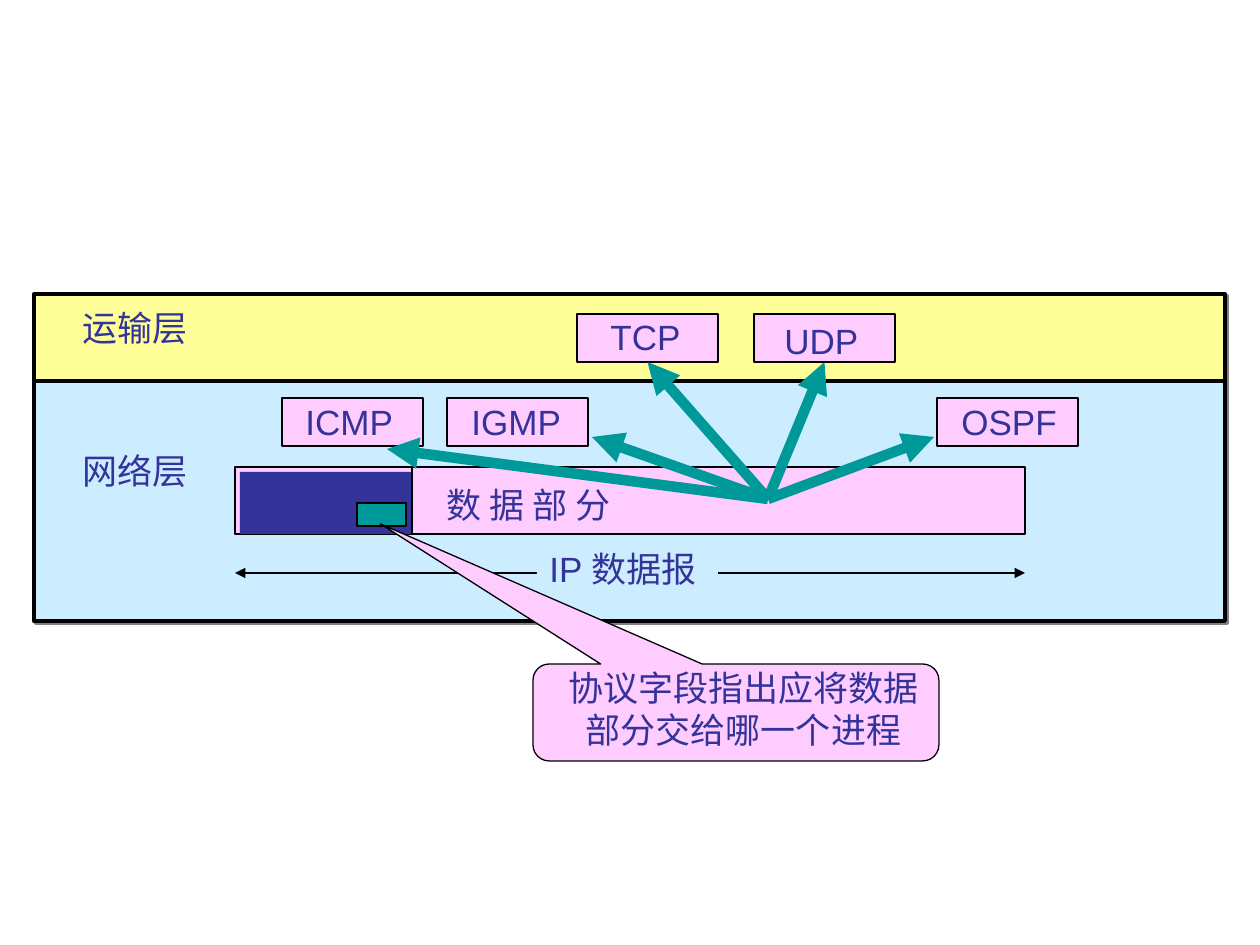
from lxml import etree
from pptx import Presentation
from pptx.dml.color import RGBColor
from pptx.enum.shapes import MSO_CONNECTOR, MSO_SHAPE
from pptx.enum.text import MSO_AUTO_SIZE, PP_ALIGN
from pptx.oxml.ns import qn
from pptx.util import Pt

PX = 914400 / 126
RECT = MSO_SHAPE.RECTANGLE
CALLOUT = MSO_SHAPE.ROUNDED_RECTANGULAR_CALLOUT
STRAIGHT = MSO_CONNECTOR.STRAIGHT
LEFT, CENTER = PP_ALIGN.LEFT, PP_ALIGN.CENTER
GROW = MSO_AUTO_SIZE.SHAPE_TO_FIT_TEXT
BOTTOM = 2
COLORS = {
    "transport": "FFFF99",
    "network": "CCECFF",
    "data": "FFCCFF",
    "navy": "333399",
    "teal": "009999",
    "black": "000000",
    "shadow": "808080",
}


def emu(*lengths):
    return [round(length * PX) for length in lengths]


def rgb(name):
    return RGBColor.from_string(COLORS[name])


def write(frame, text, size=20, color="navy", align=LEFT, wrap=False):
    frame.word_wrap = wrap
    frame.auto_size = GROW
    for index, line in enumerate(text.split("\n")):
        paragraph = frame.add_paragraph() if index else frame.paragraphs[0]
        paragraph.alignment = align
        run = paragraph.add_run()
        run.text = line
        run.font.name = "Arial"
        run.font.size = Pt(size)
        run.font.color.rgb = rgb(color)


class Diagram:
    def __init__(self, slide):
        self.shapes = slide.shapes

    def block(self, box, fill, border=0.75, kind=RECT, shadow=False):
        block = self.shapes.add_shape(kind, *emu(*box))
        block.shadow.inherit = False
        block.fill.solid()
        block.fill.fore_color.rgb = rgb(fill)
        if border:
            block.line.color.rgb = rgb("black")
            block.line.width = Pt(border)
        else:
            block.line.fill.background()
        if shadow:
            effects = block.element.spPr.find(qn("a:effectLst"))
            outer = etree.SubElement(effects, qn("a:outerShdw"), dist="17780",
                                     dir="2700000", algn="ctr", rotWithShape="0")
            etree.SubElement(outer, qn("a:srgbClr"), val=COLORS["shadow"])
        return block

    def label(self, box, text, **style):
        label = self.shapes.add_textbox(*emu(*box))
        write(label.text_frame, text, **style)

    def line(self, start, end, color="black", width=0.75, heads=()):
        """heads lists the arrow ends: headEnd at start, tailEnd at end."""
        line = self.shapes.add_connector(STRAIGHT, *emu(*start, *end))
        line.line.color.rgb = rgb(color)
        line.line.width = Pt(width)
        for head in heads:
            etree.SubElement(line.line._get_or_add_ln(), qn(f"a:{head}"), type="triangle")
        etree.SubElement(line.element.spPr, qn("a:effectLst"))
        return line


def main():
    deck = Presentation()
    deck.slide_width, deck.slide_height = emu(1260, 945)
    diagram = Diagram(deck.slides.add_slide(deck.slide_layouts[6]))

    diagram.block((34, 294, 1191, 87), "transport", 2.25, shadow=True)
    diagram.block((34, 381, 1191, 240), "network", 2.25, shadow=True)
    diagram.block((235, 467, 790, 67), "data", 1.5)
    diagram.block((240, 472, 172, 62), "navy", border=0)
    diagram.label((70, 300, 130, 55), "运输层")
    diagram.label((70, 443, 130, 55), "网络层")
    diagram.line((412, 467), (412, 534))

    # name, box left, box top, label left, label top, label width
    protocols = [
        ("TCP", 577, 314, 598, 309, 97),
        ("UDP", 754, 314, 772, 313, 102),
        ("ICMP", 282, 398, 293, 394, 118),
        ("IGMP", 447, 398, 459, 394, 118),
        ("OSPF", 937, 398, 949, 394, 124),
    ]
    boxes = {}
    for name, left, top, label_left, label_top, label_width in protocols:
        boxes[name] = diagram.block((left, top, 141, 48), "data")
        diagram.label((label_left, label_top, label_width, 55), name)

    targets = {"UDP": (825, 362), "TCP": (648, 362), "IGMP": (592, 437),
               "ICMP": (387, 449), "OSPF": (934, 437)}
    for name, tip in targets.items():
        arrow = diagram.line((768, 499), tip, "teal", 6, ["tailEnd"])
        if name in ("TCP", "UDP"):
            arrow.end_connect(boxes[name], BOTTOM)

    diagram.label((434, 477, 191, 55), "数 据 部 分")
    diagram.line((235, 573), (1025, 573), heads=["headEnd", "tailEnd"])
    datagram = diagram.block((537, 541, 181, 55), "network", border=0)
    write(datagram.text_frame, "IP 数据报")

    diagram.block((357, 503, 49, 23), "teal")
    callout = diagram.block((533, 664, 406, 97), "data", kind=CALLOUT)
    for index, value in enumerate((-0.876, -1.946, 0.167)):
        callout.adjustments[index] = value
    diagram.label((530, 660, 427, 97), "协议字段指出应将数据\n部分交给哪一个进程",
                  align=CENTER, wrap=True)

    deck.save("out.pptx")


if __name__ == "__main__":
    main()
